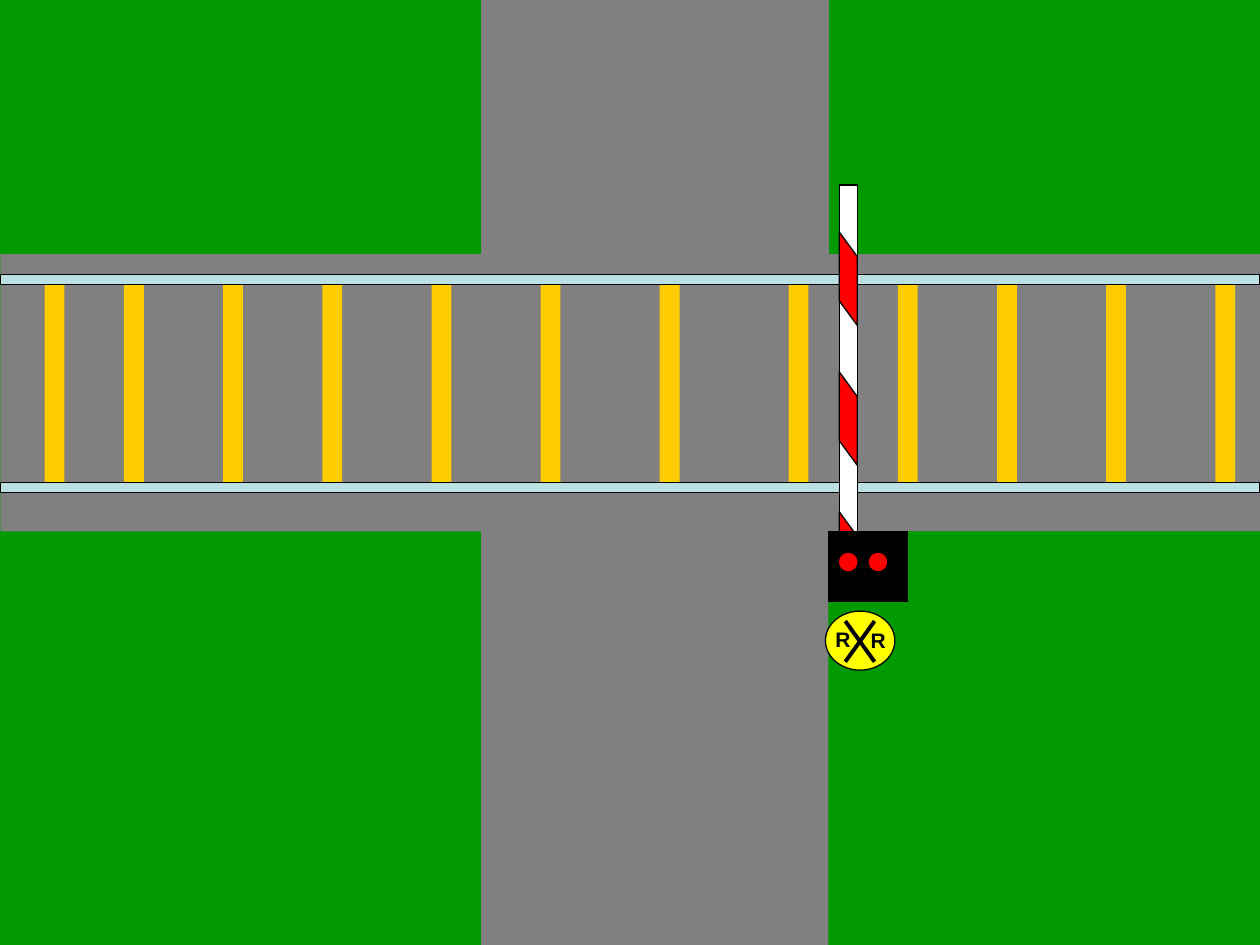
"""Draw a railroad crossing with a lowered gate and a warning sign."""
import pptx
import pptx.util
import pptx.dml.color
import pptx.enum.shapes
import pptx.enum.text
import lxml.etree

Cm, Pt = pptx.util.Cm, pptx.util.Pt
KIND = pptx.enum.shapes.MSO_SHAPE
RECT, OVAL, SLANT = KIND.RECTANGLE, KIND.OVAL, KIND.PARALLELOGRAM

HUE = {
    "grass": "009900", "road": "808080", "tie": "FFCC00", "rail": "BBE0E3",
    "white": "FFFFFF", "red": "FF0000", "black": "000000", "sign": "FFFF00",
}
WIDE, HIGH = 25.4, 19.05
ROADS = [((9.7, 0, 7.01, HIGH), 0), ((9.91, -4.78, 5.59, WIDE), 90)]
TIES = [0.9, 2.5, 4.5, 6.5, 8.7, 10.9, 13.3, 15.9, 18.1, 20.1, 22.3, 24.5]
TRACK = (5.54, 9.93)
RAIL = 0.2
ARM = (9.8, 10.85, 14.6, 0.36)
STRIPE = (16.16, 5.44, 1.88, 0.36)
STEP, COUNT = 2.82, 3
LAWN = (16.7, 10.72, 8.7, 8.33)
BOX = (16.7, 10.72, 1.6, 1.4)
LAMPS = [16.9, 17.5]
SIGN = (16.64, 12.32, 1.4, 1.19)
CROSS = (17.04, 12.52, 17.63, 13.34)
MARKS = [("R", 16.51, 12.5), ("R", 17.22, 12.52)]


def color(name):
    return pptx.dml.color.RGBColor.from_string(HUE[name])


def add(home, kind, frame, fill, edge=True, turn=0):
    shape = home.add_shape(kind, *map(Cm, frame))
    shape.shadow.inherit = False
    shape.rotation = turn
    shape.fill.solid()
    shape.fill.fore_color.rgb = color(fill)
    if edge:
        shape.line.color.rgb = color("black")
        shape.line.width = Pt(0.75)
    else:
        shape.line.fill.background()
    return shape


def stroke(home, ends):
    line = home.add_connector(
        pptx.enum.shapes.MSO_CONNECTOR.STRAIGHT, *map(Cm, ends))
    line.line.color.rgb = color("black")
    line.line.width = Pt(2.25)
    lxml.etree.SubElement(line._element.spPr, pptx.oxml.ns.qn("a:effectLst"))


def label(home, text, left, top):
    frame = home.add_textbox(Cm(left), Cm(top), Cm(0.97), Cm(0.76)).text_frame
    frame.word_wrap = False
    frame.auto_size = pptx.enum.text.MSO_AUTO_SIZE.SHAPE_TO_FIT_TEXT
    para = frame.paragraphs[0]
    para.text = text
    para.alignment = pptx.enum.text.PP_ALIGN.CENTER
    para.font.name, para.font.size, para.font.bold = "Arial", Pt(12), True
    para.font.color.rgb = color("black")


def track(home):
    top, end = TRACK
    for left in TIES:
        add(home, RECT, (left, top, 0.4, end - top), "tie", False)
    for y in (top, end - RAIL):
        add(home, RECT, (0, y, WIDE, RAIL), "rail")


def gate(home):
    add(home, RECT, ARM, "white", turn=90)
    left, top, width, height = STRIPE
    for i in range(COUNT):
        frame = (left, top + i * STEP, width, height)
        add(home, SLANT, frame, "red", turn=90).adjustments[0] = 1.37


def sign(home):
    add(home, OVAL, SIGN, "sign")
    left, top, right, low = CROSS
    stroke(home, (right, top, left, low))
    stroke(home, CROSS)
    for mark in MARKS:
        label(home, *mark)


def main():
    deck = pptx.Presentation()
    deck.slide_width, deck.slide_height = Cm(WIDE), Cm(HIGH)
    slide = deck.slides.add_slide(deck.slide_layouts[6])
    slide.background.fill.solid()
    slide.background.fill.fore_color.rgb = color("grass")
    home = slide.shapes
    for frame, turn in ROADS:
        add(home, RECT, frame, "road", False, turn)
    track(home)
    gate(home.add_group_shape().shapes)
    add(home, RECT, LAWN, "grass", False)
    add(home, RECT, BOX, "black")
    sign(home.add_group_shape().shapes)
    for left in LAMPS:
        add(home, OVAL, (left, 11.13, 0.4, 0.4), "red")
    deck.save("out.pptx")


if __name__ == "__main__":
    main()
